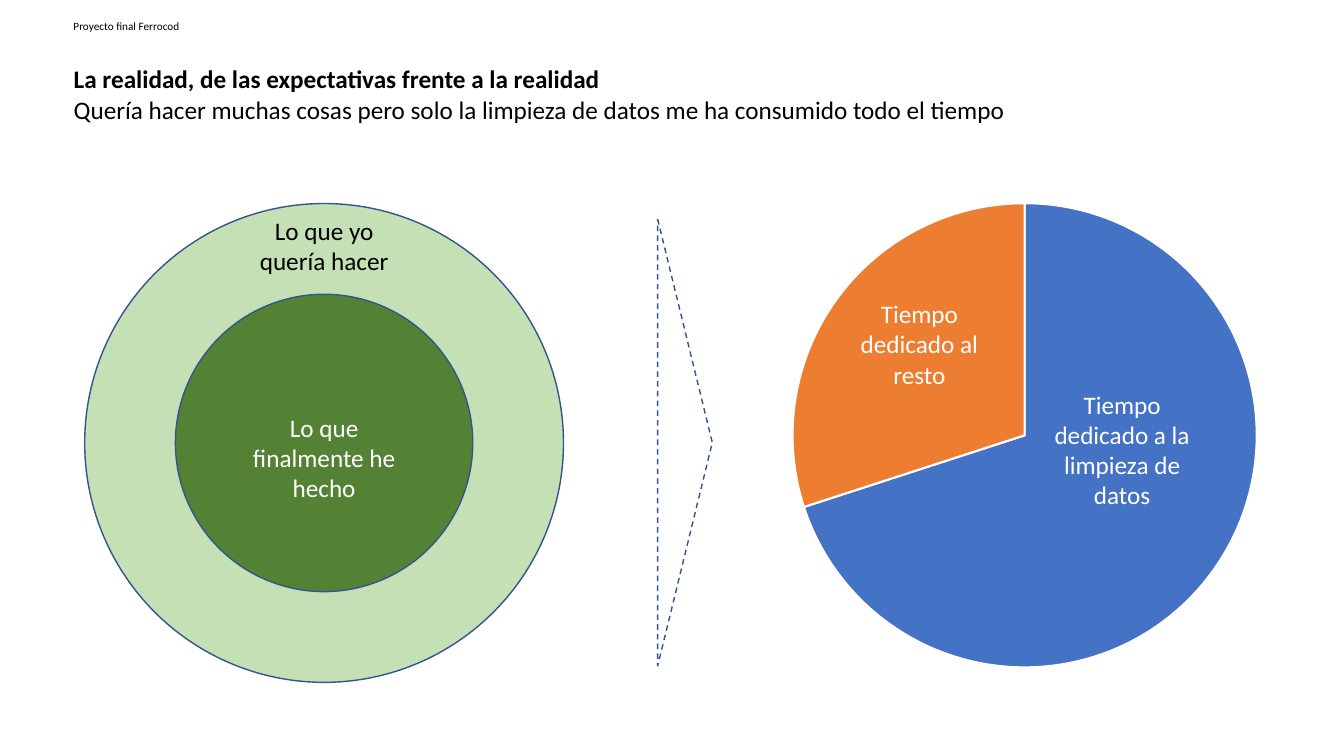
import pptx
import pptx.chart.data
import pptx.dml.color
import pptx.enum.chart
import pptx.enum.dml
import pptx.enum.shapes
import pptx.enum.text
import pptx.util
from dataclasses import dataclass
from lxml import etree

Pt = pptx.util.Pt
Align = pptx.enum.text.PP_ALIGN
Shape = pptx.enum.shapes.MSO_SHAPE


@dataclass(frozen=True)
class Theme:
    font: str = "Calibri"
    body_size: float = 18
    header_size: float = 8
    chart_size: float = 10
    line_width: float = 1
    slice_border: float = 1.5
    black: str = "000000"
    white: str = "FFFFFF"
    outline: str = "325491"
    wanted: str = "C5E0B4"
    done: str = "548235"
    cleaning: str = "4472C4"
    rest: str = "ED7D31"


THEME = Theme()
LABEL_WIDTH = 121


@dataclass(frozen=True)
class Box:
    left: float
    top: float
    width: float
    height: float

    def inside(self, left, top, width, height):
        return Box(self.left + left, self.top + top, width, height)

    def centred(self, top, width, height):
        return self.inside((self.width - width) / 2, top, width, height)

    def lengths(self):
        return [Pt(value) for value in (self.left, self.top, self.width, self.height)]


def rgb(colour):
    return pptx.dml.color.RGBColor.from_string(colour)


def write(frame, lines, size, colour, align=Align.LEFT):
    """Fill a text frame with one paragraph per (text, bold) line."""
    frame.word_wrap = True
    frame.vertical_anchor = pptx.enum.text.MSO_ANCHOR.TOP
    for index, (text, bold) in enumerate(lines):
        paragraph = frame.add_paragraph() if index else frame.paragraphs[0]
        paragraph.alignment = align
        run = paragraph.add_run()
        run.text = text
        run.font.name = THEME.font
        run.font.size = Pt(size)
        run.font.bold = bold
        run.font.color.rgb = rgb(colour)


def add_label(slide, box, text, colour):
    frame = slide.shapes.add_textbox(*box.lengths()).text_frame
    write(frame, [(text, False)], THEME.body_size, colour, Align.CENTER)


def add_outlined(slide, kind, box, fill=None):
    shape = slide.shapes.add_shape(kind, *box.lengths())
    shape.shadow.inherit = False
    if fill:
        shape.fill.solid()
        shape.fill.fore_color.rgb = rgb(fill)
    else:
        shape.fill.background()
    shape.line.color.rgb = rgb(THEME.outline)
    shape.line.width = Pt(THEME.line_width)
    return shape


def add_heading(slide, box):
    # Small header line
    header = slide.shapes.add_textbox(*box.inside(0, 0, box.width, 17).lengths())
    write(header.text_frame, [("Proyecto final Ferrocod", False)],
          THEME.header_size, THEME.black)

    # Title with its second line
    title = slide.shapes.title
    title.left, title.top, title.width, title.height = (
        box.inside(0, 31.7, box.width, 51).lengths())
    title.text_frame.auto_size = pptx.enum.text.MSO_AUTO_SIZE.NONE
    write(title.text_frame, [
        ("La realidad, de las expectativas frente a la realidad", True),
        ("Quería hacer muchas cosas pero solo la limpieza de datos "
         "me ha consumido todo el tiempo", False),
    ], THEME.body_size, THEME.black)


def add_expectations(slide, box):
    # Concentric circles
    inner = 212.4
    add_outlined(slide, Shape.OVAL, box, THEME.wanted)
    add_outlined(slide, Shape.OVAL,
                 box.centred((box.height - inner) / 2, inner, inner), THEME.done)

    # Circle labels
    add_label(slide, box.centred(5, LABEL_WIDTH, 51),
              "Lo que yo quería hacer", THEME.black)
    add_label(slide, box.centred(145.5, LABEL_WIDTH, 73),
              "Lo que finalmente he hecho", THEME.white)


def add_pointer(slide, box):
    # The triangle is drawn lying down, then turned to fill the upright box
    turned = box.centred((box.height - box.width) / 2, box.height, box.width)
    triangle = add_outlined(slide, Shape.ISOSCELES_TRIANGLE, turned)
    triangle.rotation = 90
    triangle.line.dash_style = pptx.enum.dml.MSO_LINE.DASH


def set_plot_layout(chart, **fractions):
    """Fix the inner plot area as fractions of the chart box."""
    plot_area = chart.plots[0]._element.getparent()
    namespace = etree.QName(plot_area).namespace
    for old in plot_area.findall(f"{{{namespace}}}layout"):
        plot_area.remove(old)
    layout = etree.Element(f"{{{namespace}}}layout")
    manual = etree.SubElement(layout, f"{{{namespace}}}manualLayout")
    settings = {"layoutTarget": "inner", "xMode": "edge", "yMode": "edge", **fractions}
    for name, value in settings.items():
        etree.SubElement(manual, f"{{{namespace}}}{name}", val=str(value))
    plot_area.insert(0, layout)


def add_time_pie(slide, box):
    # Pie of time spent
    data = pptx.chart.data.CategoryChartData()
    data.categories = ["1", "2"]
    data.add_series("Series 1", (70, 30))
    chart = slide.shapes.add_chart(
        pptx.enum.chart.XL_CHART_TYPE.PIE, *box.lengths(), data).chart
    chart.has_legend = False
    chart.has_title = False
    chart.font.name = THEME.font
    chart.font.size = Pt(THEME.chart_size)
    chart.font.color.rgb = rgb(THEME.black)
    plot = chart.plots[0]
    plot.vary_by_categories = True
    for index, colour in enumerate((THEME.cleaning, THEME.rest)):
        part = plot.series[0].points[index].format
        part.fill.solid()
        part.fill.fore_color.rgb = rgb(colour)
        part.line.color.rgb = rgb(THEME.white)
        part.line.width = Pt(THEME.slice_border)
    set_plot_layout(chart, x=0.16, y=0.03, w=0.69, h=0.94)

    # Slice labels
    add_label(slide, box.inside(252, 139.7, LABEL_WIDTH, 94),
              "Tiempo dedicado a la limpieza de datos", THEME.white)
    add_label(slide, box.inside(107.2, 75, LABEL_WIDTH, 73),
              "Tiempo dedicado al resto", THEME.white)


def main():
    presentation = pptx.Presentation()
    presentation.slide_width = Pt(960)
    presentation.slide_height = Pt(540)
    slide = presentation.slides.add_slide(
        presentation.slide_layouts.get_by_name("Title Only"))
    add_heading(slide, Box(45.4, 10.1, 849, 83))
    add_expectations(slide, Box(60.5, 145.4, 342, 342))
    add_pointer(slide, Box(469.8, 156.6, 39, 319))
    add_time_pie(slide, Box(489, 134.6, 481, 352.8))
    presentation.save("out.pptx")


if __name__ == "__main__":
    main()
